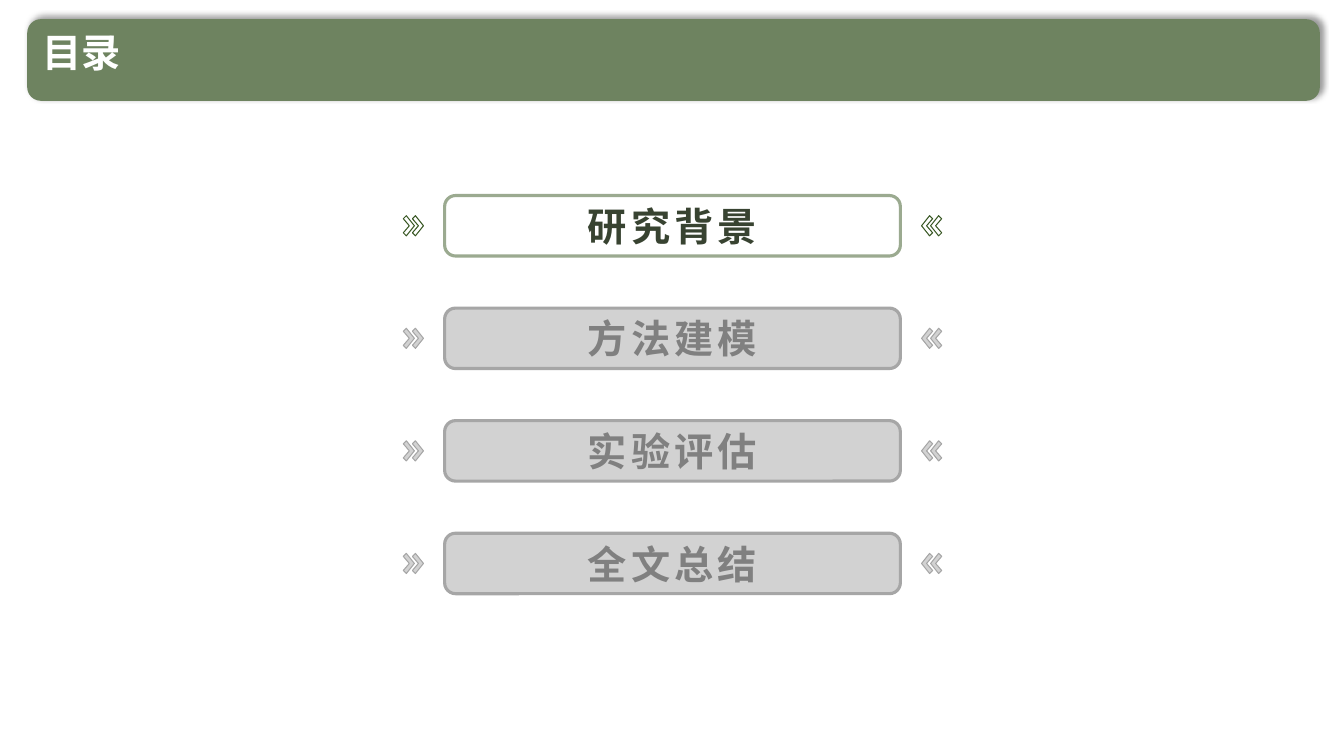
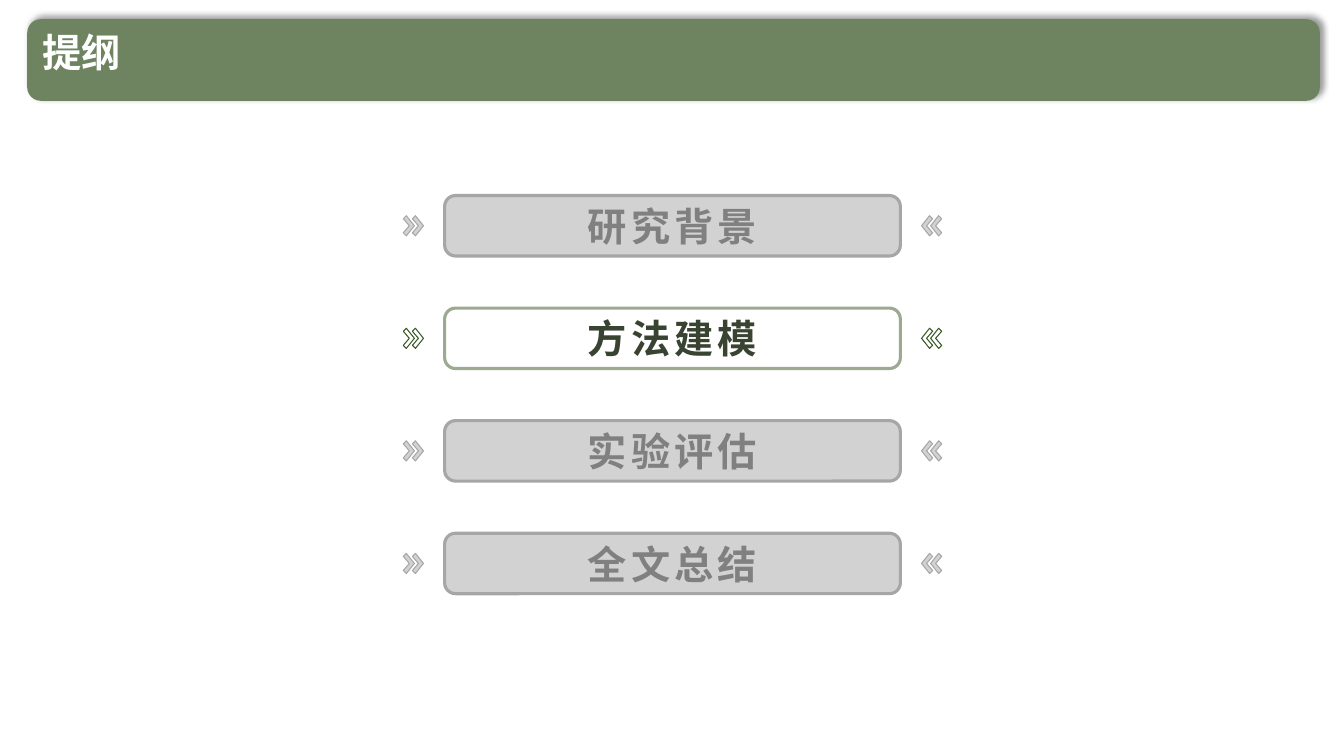
import pptx
import pptx.util
import pptx.dml.color
import pptx.enum.shapes
import pptx.enum.text
import pptx.oxml.ns
import lxml.etree

Inches = pptx.util.Inches
Pt = pptx.util.Pt
ROUND = pptx.enum.shapes.MSO_SHAPE.ROUNDED_RECTANGLE
ANCHOR = pptx.enum.text.MSO_ANCHOR
ALIGN = pptx.enum.text.PP_ALIGN

GREEN, WHITE = "6E8360", "FFFFFF"
HAN = "Noto Sans CJK SC"
# Styles of a row: fill, box line, mark line, text
LIVE = (None, "9BAA90", "385723", "384331")
DIM = ("A6A6A6", "A6A6A6", "A6A6A6", "808080")

TOPICS = ["研究背景", "方法建模", "实验评估", "全文总结"]
SLIDES = [("目录", 0), ("提纲", 1)]

# Chevron outline, pointing right, and its size
MARK = [(0.03, 0), (0, 0.03), (0.06, 0.1), (0, 0.17), (0.03, 0.2), (0.11, 0.1)]
MARK_W, MARK_H, STEP = 0.11, 0.2, 0.09


def color(code):
    return pptx.dml.color.RGBColor.from_string(code)


def add(parent, tag, **attrs):
    return lxml.etree.SubElement(parent, pptx.oxml.ns.qn(tag), attrs)


def paint(shape, fill, line=None, width=0, alpha=None):
    shape.shadow.inherit = False
    if fill:
        shape.fill.solid()
        shape.fill.fore_color.rgb = color(fill)
        if alpha:
            tint = shape.fill._xPr.find(".//" + pptx.oxml.ns.qn("a:srgbClr"))
            add(tint, "a:alpha", val=str(alpha * 1000))
    else:
        shape.fill.background()
    if line:
        shape.line.color.rgb = color(line)
        shape.line.width = Pt(width)
    else:
        shape.line.fill.background()


def write(para, text, ink, face, gap=0):
    run = para.add_run()
    run.text = text
    font = run.font
    font.size, font.bold, font.name = Pt(28), True, face
    font.color.rgb = color(ink)
    props = run._r.get_or_add_rPr()
    add(props, "a:ea", typeface=HAN)
    if gap:
        props.set("spc", str(gap * 100))


# Title band with its soft shadow
def header(slide, title, left, top, width, height):
    band = slide.shapes.add_shape(
        ROUND, Inches(left), Inches(top), Inches(width), Inches(height))
    paint(band, GREEN)
    effects = band._element.spPr.find(pptx.oxml.ns.qn("a:effectLst"))
    shade = add(effects, "a:outerShdw", blurRad=str(Pt(4)), dist=str(Pt(3)),
                dir=str(315 * 60000), algn="bl", rotWithShape="0")
    black = add(shade, "a:srgbClr", val="000000")
    add(black, "a:alpha", val="40000")

    box = slide.shapes.add_textbox(
        Inches(left + 0.05), Inches(top + 0.09), Inches(11.07), Inches(0.62))
    box.text_frame.word_wrap = True
    para = box.text_frame.paragraphs[0]
    para.line_spacing = 0.9
    write(para, title, WHITE, HAN)


# One chevron, flipped when it points left
def chevron(group, left, top, flip, fill, line):
    spots = [(Inches(left + (MARK_W - x if flip else x)), Inches(top + y))
             for x, y in MARK]
    pen = group.shapes.build_freeform(*spots[0])
    pen.add_line_segments(spots[1:], close=True)
    paint(pen.convert_to_shape(), fill, line, 0.75, 50)


# One topic: a box between two pairs of chevrons
def topic(slide, text, style, left, top, width, height):
    fill, edge, line, ink = style
    group = slide.shapes.add_group_shape()
    y = top + (height - MARK_H) / 2
    end = left + width - MARK_W
    for x, flip in [(left, False), (left + STEP, False),
                    (end, True), (end - STEP, True)]:
        chevron(group, x, y, flip, fill, line)

    inset = 0.41
    box = group.shapes.add_shape(
        ROUND, Inches(left + inset), Inches(top),
        Inches(width - 2 * inset), Inches(height))
    box.adjustments[0] = 0.18
    paint(box, fill, edge, 2.25, 50)
    frame = box.text_frame
    frame.word_wrap = True
    frame.vertical_anchor = ANCHOR.MIDDLE
    para = frame.paragraphs[0]
    para.alignment = ALIGN.CENTER
    write(para, text, ink, "Karla", 3)


# Evenly spaced list with one live topic
def agenda(slide, live, left, top, width, height):
    tall = 0.6
    pitch = (height - tall) / (len(TOPICS) - 1)
    for i, text in enumerate(TOPICS):
        style = LIVE if i == live else DIM
        topic(slide, text, style, left, top + i * pitch, width, tall)


def main():
    deck = pptx.Presentation()
    deck.slide_width, deck.slide_height = Inches(13.33), Inches(7.5)
    for title, live in SLIDES:
        slide = deck.slides.add_slide(deck.slide_layouts[6])
        header(slide, title, 0.27, 0.19, 12.82, 0.81)
        agenda(slide, live, 4, 1.94, 5.34, 3.95)
    deck.save("out.pptx")


if __name__ == "__main__":
    main()
